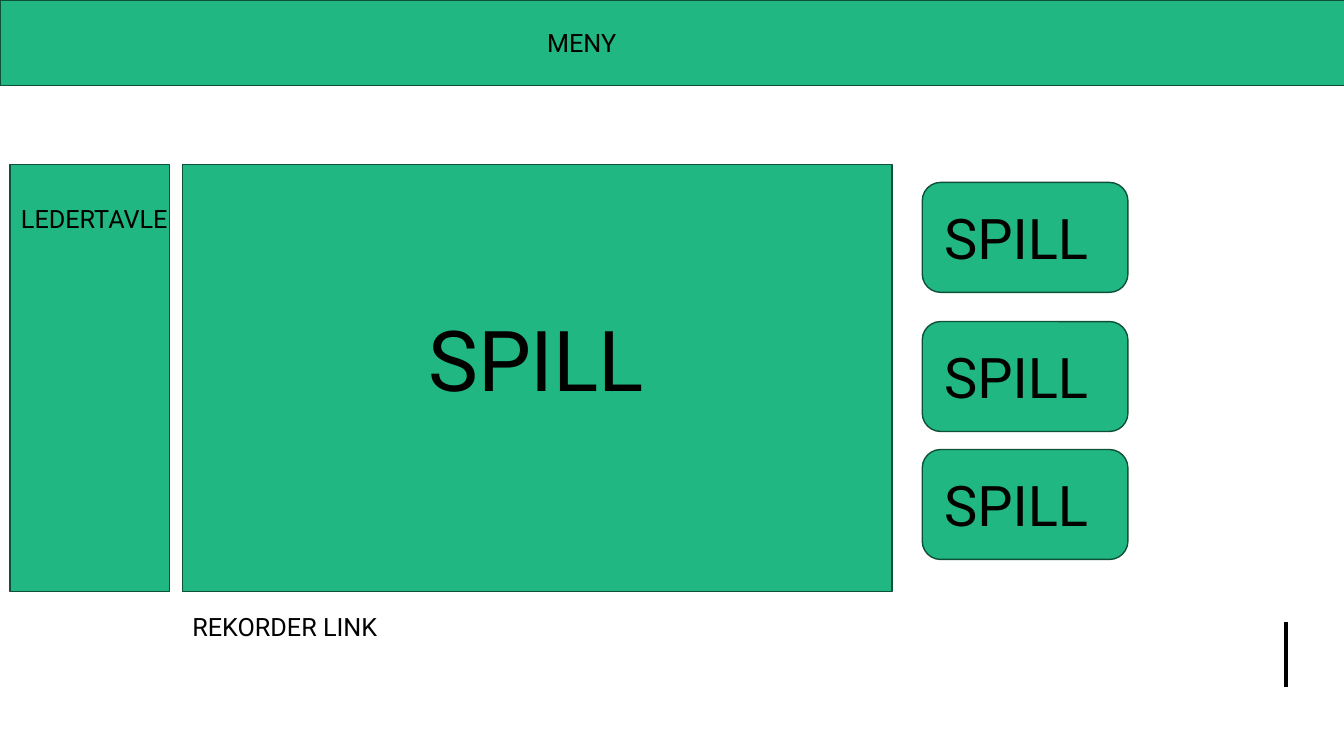
"""Draw a wireframe of a game page with a menu, a leaderboard and game buttons."""
from dataclasses import dataclass

import pptx
import pptx.dml.color
import pptx.enum.shapes
import pptx.enum.text
import pptx.oxml
import pptx.slide
import pptx.util

Pt = pptx.util.Pt
Color = pptx.dml.color.RGBColor
Kind = pptx.enum.shapes.MSO_SHAPE


@dataclass(frozen=True)
class Theme:
    font: str = "Roboto"
    fill: Color = Color(0x21, 0xB7, 0x82)
    edge: Color = Color(0x0E, 0x50, 0x39)
    ink: Color = Color(0, 0, 0)
    small: int = 18
    large: int = 40
    huge: int = 60
    border: int = 1
    rule: int = 3


@dataclass(frozen=True)
class Panel:
    left: float
    top: float
    width: float
    height: float
    kind: Kind = Kind.RECTANGLE


@dataclass(frozen=True)
class Label:
    text: str
    left: float
    top: float
    width: float
    height: float
    size: int


THEME = Theme()
TOP, HEIGHT = 117.4, 305.3
BUTTONS = (130.3, 229.7, 321.1)

PANELS = [
    Panel(130.3, TOP, 506.9, HEIGHT),
    *(Panel(658.8, top, 146.9, 78.5, Kind.ROUNDED_RECTANGLE) for top in BUTTONS),
    Panel(0, 0, 961.2, 61.2),
    Panel(7.2, TOP, 113.8, HEIGHT),
]
LABELS = [
    Label("MENY", 383.8, 15.8, 247, 28.8, THEME.small),
    Label("SPILL", 298.8, 216, 199.4, 79.9, THEME.huge),
    *(Label("SPILL", 667.4, top + 11.5, 169.9, 55.4, THEME.large) for top in BUTTONS),
    Label("REKORDER LINK", 130.3, 433.4, 181.4, 28.8, THEME.small),
    Label("LEDERTAVLE", 7.9, 141.8, 121, 28.8, THEME.small),
]


def add_panel(slide: pptx.slide.Slide, panel: Panel) -> None:
    shape = slide.shapes.add_shape(
        panel.kind, Pt(panel.left), Pt(panel.top), Pt(panel.width), Pt(panel.height)
    )
    shape.shadow.inherit = False
    shape.fill.solid()
    shape.fill.fore_color.rgb = THEME.fill
    shape.line.color.rgb = THEME.edge
    shape.line.width = Pt(THEME.border)


def add_label(slide: pptx.slide.Slide, label: Label) -> None:
    box = slide.shapes.add_textbox(
        Pt(label.left), Pt(label.top), Pt(label.width), Pt(label.height)
    )
    frame = box.text_frame
    frame.word_wrap = True
    frame.auto_size = pptx.enum.text.MSO_AUTO_SIZE.SHAPE_TO_FIT_TEXT
    run = frame.paragraphs[0].add_run()
    run.text = label.text
    run.font.name = THEME.font
    run.font.size = Pt(label.size)
    run.font.color.rgb = THEME.ink


def add_rule(slide: pptx.slide.Slide, left: float, top: float, end: float) -> None:
    rule = slide.shapes.add_connector(
        pptx.enum.shapes.MSO_CONNECTOR.STRAIGHT, Pt(left), Pt(top), Pt(left), Pt(end)
    )
    rule.line.color.rgb = THEME.ink
    rule.line.width = Pt(THEME.rule)
    props = rule._element.spPr
    props.append(pptx.oxml.parse_xml(
        '<a:effectLst xmlns:a="http://schemas.openxmlformats.org/drawingml/2006/main"/>'
    ))


def main() -> None:
    deck = pptx.Presentation()
    deck.slide_width, deck.slide_height = Pt(960), Pt(540)
    slide = deck.slides.add_slide(deck.slide_layouts[6])
    add_rule(slide, 918.7, 444.2, 491)
    for panel in PANELS:
        add_panel(slide, panel)
    for label in LABELS:
        add_label(slide, label)
    deck.save("out.pptx")


if __name__ == "__main__":
    main()
